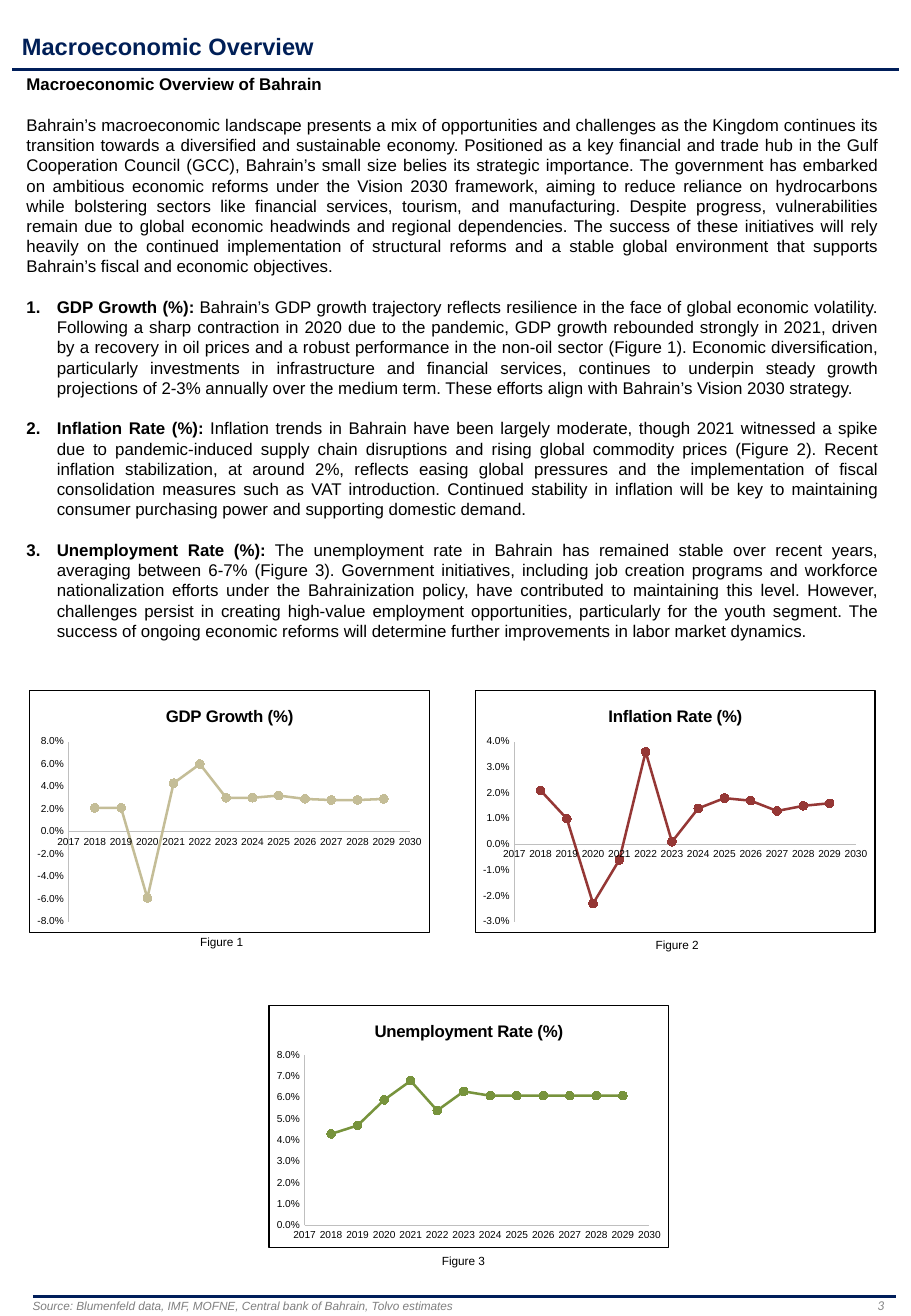
"""Build the macroeconomic overview page: report text and three indicator charts."""
from dataclasses import dataclass

from lxml import etree
from pptx import Presentation
from pptx import util as u
from pptx.chart.chart import Chart
from pptx.chart.data import XyChartData
from pptx.dml.color import RGBColor
from pptx.enum import chart as chart_enum, shapes, text
from pptx.oxml import parse_xml
from pptx.oxml.ns import nsdecls, qn
from pptx.slide import Slide
from pptx.text.text import Font, TextFrame

COLORS = {
    "navy": "001E5A", "title": "001F57", "black": "000000", "source": "7F7F7F",
    "number": "888888", "axis": "BFBFBF", "gdp": "C4BD97", "inflation": "953735",
    "unemployment": "77933C",
}
YEARS = range(2018, 2030)
CHART_WIDTH, CHART_HEIGHT = 3.3, 2
BOX_MARGINS = (0.1, 0.05, 0.1, 0.05)


@dataclass
class Indicator:
    title: str
    commentary: str
    color: str
    values: list[float]
    left: float
    top: float
    caption_left: float
    caption_top: float
    scale: tuple[float, float, float]
    plot: tuple[float, float, float, float] = (0.097, 0.21, 0.855, 0.745)


@dataclass
class Label:
    content: str
    box: tuple[float, float, float, float]
    size: float
    color: str
    bold: bool = False
    italic: bool = False
    font: str = "Arial"
    align: text.PP_ALIGN = text.PP_ALIGN.LEFT
    margins: tuple[float, float, float, float] = BOX_MARGINS


INTRODUCTION = [
    "Bahrain’s macroeconomic landscape presents a mix of opportunities and challenges as the Kingdom continues its "
    "transition towards a diversified and sustainable economy.",
    "Positioned as a key financial and trade hub in the Gulf Cooperation Council (GCC), Bahrain’s small size belies "
    "its strategic importance.",
    "The government has embarked on ambitious economic reforms under the Vision 2030 framework, aiming to reduce "
    "reliance on hydrocarbons while bolstering sectors like financial services, tourism, and manufacturing.",
    "Despite progress, vulnerabilities remain due to global economic headwinds and regional dependencies.",
    "The success of these initiatives will rely heavily on the continued implementation of structural reforms and a "
    "stable global environment that supports Bahrain’s fiscal and economic objectives.",
]
INDICATORS = [
    Indicator(
        "GDP Growth (%)",
        " Bahrain’s GDP growth trajectory reflects resilience in the face of global economic volatility. Following a "
        "sharp contraction in 2020 due to the pandemic, GDP growth rebounded strongly in 2021, driven by a recovery in "
        "oil prices and a robust performance in the non-oil sector (Figure 1). Economic diversification, particularly "
        "investments in infrastructure and financial services, continues to underpin steady growth projections of 2-3% "
        "annually over the medium term. These efforts align with Bahrain’s Vision 2030 strategy.",
        "gdp", [0.021, 0.021, -0.059, 0.043, 0.06, 0.03, 0.03, 0.032, 0.029, 0.028, 0.028, 0.029],
        0.24, 5.68, 1.55, 7.64, (-0.08, 0.08, 0.02)),
    Indicator(
        "Inflation Rate (%)",
        " Inflation trends in Bahrain have been largely moderate, though 2021 witnessed a spike due to "
        "pandemic-induced supply chain disruptions and rising global commodity prices (Figure 2). Recent inflation "
        "stabilization, at around 2%, reflects easing global pressures and the implementation of fiscal consolidation "
        "measures such as VAT introduction. Continued stability in inflation will be key to maintaining consumer "
        "purchasing power and supporting domestic demand.",
        "inflation", [0.021, 0.01, -0.023, -0.006, 0.036, 0.001, 0.014, 0.018, 0.017, 0.013, 0.015, 0.016],
        3.91, 5.68, 5.3, 7.67, (-0.03, 0.04, 0.01)),
    Indicator(
        "Unemployment Rate (%)",
        " The unemployment rate in Bahrain has remained stable over recent years, averaging between 6-7% (Figure 3). "
        "Government initiatives, including job creation programs and workforce nationalization efforts under the "
        "Bahrainization policy, have contributed to maintaining this level. However, challenges persist in creating "
        "high-value employment opportunities, particularly for the youth segment. The success of ongoing economic "
        "reforms will determine further improvements in labor market dynamics.",
        "unemployment", [0.043, 0.047, 0.059, 0.068, 0.054, 0.063] + [0.061] * 6,
        2.21, 8.27, 3.54, 10.27, (0, 0.08, 0.01), (0.089, 0.206, 0.863, 0.704)),
]
LABELS = [
    Label("Macroeconomic Overview", (0.18, 0.25, 5.65, 0.25), 14, "title", bold=True, margins=(0, 0.01, 0, 0)),
    Label("3", (5.55, 10.67, 1.73, 0.13), 8, "number", italic=True, font="Calibri",
          align=text.PP_ALIGN.RIGHT, margins=(0, 0, 0, 0)),
    Label("Source: Blumenfeld data, IMF, MOFNE, Central bank of Bahrain, Tolvo estimates",
          (0.17, 10.64, 5.08, 0.22), 7, "source", italic=True),
]


def rgb(name: str) -> RGBColor:
    return RGBColor.from_string(COLORS[name])


def style_font(font: Font, size: float, color: str = "black", bold: bool = False,
               italic: bool = False, name: str = "Arial") -> None:
    font.size, font.name, font.bold, font.italic = u.Pt(size), name, bold, italic
    font.color.rgb = rgb(color)


def add_frame(slide: Slide, box: tuple[float, ...], margins: tuple[float, ...]) -> TextFrame:
    frame = slide.shapes.add_textbox(*map(u.Inches, box)).text_frame
    frame.word_wrap = True
    frame.margin_left, frame.margin_top, frame.margin_right, frame.margin_bottom = map(u.Inches, margins)
    return frame


def add_label(slide: Slide, label: Label) -> None:
    paragraph = add_frame(slide, label.box, label.margins).paragraphs[0]
    paragraph.alignment = label.align
    run = paragraph.add_run()
    run.text = label.content
    style_font(run.font, label.size, label.color, label.bold, label.italic, label.font)


def add_rule(slide: Slide, left: float, right: float, top: float) -> None:
    rule = slide.shapes.add_connector(
        shapes.MSO_CONNECTOR.STRAIGHT, u.Inches(left), u.Inches(top), u.Inches(right), u.Inches(top))
    rule.line.color.rgb, rule.line.width = rgb("navy"), u.Pt(1.56)
    etree.SubElement(rule.element.spPr, qn("a:effectLst"))


def add_report(slide: Slide) -> None:
    frame = add_frame(slide, (0.12, 0.56, 7.2, 4.98), BOX_MARGINS)
    entries = [("Macroeconomic Overview of Bahrain", "", 0), ("", " ".join(INTRODUCTION), 0)]
    entries += [(f"{item.title}:", item.commentary, number) for number, item in enumerate(INDICATORS, 1)]
    for index, (heading, body, number) in enumerate(entries):
        paragraph = frame.add_paragraph() if index else frame.paragraphs[0]
        paragraph.alignment = text.PP_ALIGN.JUSTIFY
        paragraph.line_spacing = u.Pt(12)
        paragraph.space_before = u.Pt(12 if index else 0)
        if number:
            properties = paragraph._p.get_or_add_pPr()
            properties.set("marL", str(u.Inches(0.25)))
            properties.set("indent", str(-u.Inches(0.25)))
            etree.SubElement(properties, qn("a:buFont"), typeface="+mj-lt")
            etree.SubElement(properties, qn("a:buAutoNum"), type="arabicPeriod", startAt=str(number))
        for content, bold in ((heading, True), (body, False)):
            if content:
                run = paragraph.add_run()
                run.text = content
                style_font(run.font, 10, bold=bold)


def set_layout(chart: Chart, plot: tuple[float, ...]) -> None:
    plot_area = chart.element.chart.plotArea
    for layout in plot_area.findall(qn("c:layout")):
        plot_area.remove(layout)
    places = "".join(f'<c:{key} val="{value}"/>' for key, value in zip("xywh", plot))
    plot_area.insert(0, parse_xml(
        f'<c:layout {nsdecls("c")}><c:manualLayout><c:layoutTarget val="inner"/>'
        f'<c:xMode val="edge"/><c:yMode val="edge"/>{places}</c:manualLayout></c:layout>'))
    chart.element.chart.addnext(parse_xml(
        f'<c:spPr {nsdecls("c", "a")}><a:ln w="{u.Pt(0.75)}"><a:solidFill>'
        f'<a:srgbClr val="{COLORS["black"]}"/></a:solidFill></a:ln></c:spPr>'))


def add_indicator_chart(slide: Slide, item: Indicator) -> None:
    data = XyChartData()
    points = data.add_series(item.title)
    for year, value in zip(YEARS, item.values):
        points.add_data_point(year, value)
    chart = slide.shapes.add_chart(
        chart_enum.XL_CHART_TYPE.XY_SCATTER_LINES, u.Inches(item.left), u.Inches(item.top),
        u.Inches(CHART_WIDTH), u.Inches(CHART_HEIGHT), data).chart
    style_font(chart.font, 10)
    chart.has_legend, chart.has_title = False, True
    title = chart.chart_title.text_frame.paragraphs[0].add_run()
    title.text = item.title
    style_font(title.font, 10, bold=True)
    axes = ((chart.category_axis, (2017, 2030, 1), "0"), (chart.value_axis, item.scale, "0.0%"))
    for axis, scale, number_format in axes:
        axis.minimum_scale, axis.maximum_scale, axis.major_unit = scale
        axis.has_major_gridlines = False
        axis.major_tick_mark = axis.minor_tick_mark = chart_enum.XL_TICK_MARK.NONE
        axis.tick_labels.number_format = number_format
        axis.tick_labels.number_format_is_linked = False
        style_font(axis.tick_labels.font, 6)
        axis.format.line.color.rgb, axis.format.line.width = rgb("axis"), u.Pt(0.75)
    chart.plots[0].vary_by_categories = False
    series = chart.plots[0].series[0]
    series.smooth = False
    series.format.line.color.rgb, series.format.line.width = rgb(item.color), u.Pt(1.5)
    series.marker.style, series.marker.size = chart_enum.XL_MARKER_STYLE.CIRCLE, 5
    series.marker.format.fill.solid()
    series.marker.format.fill.fore_color.rgb = rgb(item.color)
    series.marker.format.line.color.rgb = rgb(item.color)
    set_layout(chart, item.plot)


def main() -> None:
    presentation = Presentation()
    presentation.slide_width, presentation.slide_height = u.Inches(7.5), u.Inches(10.83)
    slide = presentation.slides.add_slide(presentation.slide_layouts[6])
    add_rule(slide, 0.1, 7.4, 0.57)
    add_rule(slide, 0.27, 7.38, 10.67)
    add_report(slide)
    for label in LABELS:
        add_label(slide, label)
    for number, item in enumerate(INDICATORS, 1):
        add_indicator_chart(slide, item)
        add_label(slide, Label(f"Figure {number}", (item.caption_left, item.caption_top, 0.67, 0.22), 7, "black"))
    presentation.save("out.pptx")


if __name__ == "__main__":
    main()
